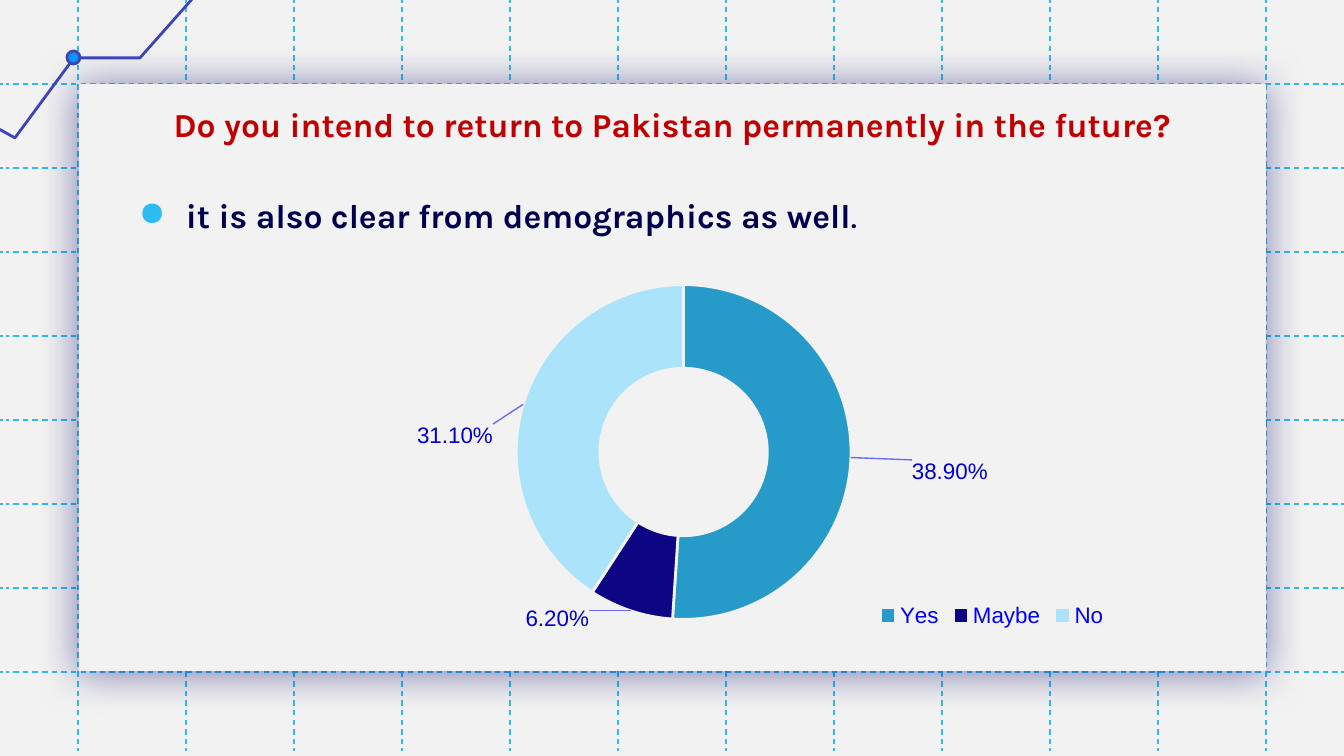
from copy import deepcopy
from lxml.etree import SubElement
from pptx import Presentation
from pptx.chart.data import CategoryChartData
from pptx.dml.color import RGBColor
from pptx.enum.chart import XL_CHART_TYPE, XL_LEGEND_POSITION
from pptx.enum.dml import MSO_LINE
from pptx.enum.shapes import MSO_CONNECTOR, MSO_SHAPE
from pptx.enum.text import MSO_ANCHOR, PP_ALIGN
from pptx.oxml import parse_xml
from pptx.oxml.ns import nsdecls, qn
from pptx.util import Pt

PX = 914400 / 134.4
PAPER = RGBColor(0xF2, 0xF2, 0xF2)
SKY = RGBColor(0x2E, 0xBB, 0xF2)
INDIGO = RGBColor(0x3D, 0x44, 0xBA)
AZURE = RGBColor(0x05, 0x97, 0xF2)
RED = RGBColor(0xC0, 0x00, 0x00)
NAVY = RGBColor(0x00, 0x00, 0x4F)
INK = RGBColor(0x00, 0x00, 0x6A)
LABEL = RGBColor(0x00, 0x00, 0xCF)
LEADER = RGBColor(0x6A, 0x6A, 0xFF)
LEGEND = RGBColor(0x00, 0x00, 0xF7)
TEAL = RGBColor(0x26, 0x9B, 0xC9)
VIOLET = RGBColor(0x0E, 0x05, 0x85)
PALE = RGBColor(0xAB, 0xE4, 0xFA)


def px(*nums):
    return [round(n * PX) for n in nums]


def layout(x, y, size=None, inner=False):
    """Manual chart layout; without a size, x and y are offsets."""
    parts = [("layoutTarget", "inner")] if inner else []
    if size:
        parts += [("xMode", "edge"), ("yMode", "edge")]
    parts += [("x", x), ("y", y)]
    if size:
        parts += [("w", size[0]), ("h", size[1])]
    body = "".join(f'<c:{tag} val="{val}"/>' for tag, val in parts)
    return parse_xml(f'<c:layout {nsdecls("c")}><c:manualLayout>{body}'
                     '</c:manualLayout></c:layout>')


deck = Presentation()
deck.slide_width, deck.slide_height = px(1344, 756)
slide = deck.slides.add_slide(deck.slide_layouts[6])
slide.background.fill.solid()
slide.background.fill.fore_color.rgb = PAPER
shapes = slide.shapes

# Dashed grid: long rules with short end strokes
grid = [(x, top, x, end) for x in range(78, 1344, 108)
        for top, end in [(0, 3), (7, 751)]]
grid += [(right, y, left, y) for y in range(84, 756, 84)
         for right, left in [(1344, 1341), (1338, 6), (3, 0)]]
for ends in grid:
    rule = shapes.add_connector(MSO_CONNECTOR.STRAIGHT, *px(*ends))
    rule.line.color.rgb = SKY
    rule.line.width = Pt(0.75)
    rule.line.dash_style = MSO_LINE.DASH
    SubElement(rule._element.spPr, qn("a:effectLst"))

# Panel with soft shadow
panel = shapes.add_shape(MSO_SHAPE.RECTANGLE, *px(79, 84, 1187, 587))
panel.fill.solid()
panel.fill.fore_color.rgb = PAPER
panel.line.fill.background()
panel.shadow.inherit = False
panel._element.spPr.find(qn("a:effectLst")).append(parse_xml(
    f'<a:outerShdw {nsdecls("a")} blurRad="{Pt(22.5)}" dist="{Pt(1.5)}" '
    'dir="5400000" algn="bl" rotWithShape="0"><a:srgbClr val="00006A">'
    '<a:alpha val="49000"/></a:srgbClr></a:outerShdw>'))

# Zigzag line and its dot
zigzag = [(-192, 159), (-118, 161), (-73, 89), (15, 138), (74, 58),
          (140, 58), (218, -30), (317, -7), (368, -62)]
pen = shapes.build_freeform(*zigzag[0], scale=PX)
pen.add_line_segments(zigzag[1:], close=False)
trend = pen.convert_to_shape()
trend.fill.background()
dot = shapes.add_shape(MSO_SHAPE.OVAL, *px(67, 51, 13, 13))
dot.fill.solid()
dot.fill.fore_color.rgb = AZURE
for shape in (trend, dot):
    shape.shadow.inherit = False
    shape.line.color.rgb = INDIGO
    shape.line.width = Pt(1.5)

# Title and bullet
texts = [
    ((106, 91, 1133, 98), RED, PP_ALIGN.CENTER,
     [("Do you intend to return to Pakistan permanently in the future?", 18)]),
    ((106, 176, 1133, 86), NAVY, PP_ALIGN.LEFT,
     [("it is also clear from demographics as well", 18), (".", 14)]),
]
for place, color, align, runs in texts:
    frame = shapes.add_textbox(*px(*place)).text_frame
    frame.word_wrap = True
    frame.vertical_anchor = MSO_ANCHOR.TOP
    frame.margin_left = frame.margin_right = px(13)[0]
    frame.margin_top = frame.margin_bottom = px(13)[0]
    para = frame.paragraphs[0]
    para.alignment = align
    if align == PP_ALIGN.LEFT:
        para.line_spacing = 1.15
        props = para._p.get_or_add_pPr()
        props.set("marL", str(px(67)[0]))
        props.set("indent", str(px(-47)[0]))
        tint = SubElement(props, qn("a:buClr"))
        SubElement(tint, qn("a:srgbClr")).set("val", str(SKY))
        SubElement(props, qn("a:buSzPts")).set("val", "1400")
        SubElement(props, qn("a:buChar")).set("char", "●")
    para.font.name = "Karla"
    para.font.bold = True
    para.font.color.rgb = color
    for words, size in runs:
        run = para.add_run()
        run.text = words
        run.font.size = Pt(size)

# Doughnut chart
data = CategoryChartData(number_format="0.00%")
data.categories = ["Yes", "Maybe", "No"]
data.add_series("Series 1", [0.389, 0.062, 0.311])
chart = shapes.add_chart(XL_CHART_TYPE.DOUGHNUT,
                         *px(126, 261, 1083, 394), data).chart
chart.has_title = False
chart.font.name = "Arial"
chart.font.size = Pt(10)
chart.font.color.rgb = INK
plot = chart.plots[0]
plot.vary_by_categories = True
area = chart._chartSpace.chart.plotArea
for old in area.findall(qn("c:layout")):
    area.remove(old)
area.insert(0, layout(0.34, 0.06, (0.35, 0.85), inner=True))

# Slices and their labels
series = plot.series[0]
labels = series.data_labels
labels.show_value = True
labels.number_format = "0.00%"
labels.number_format_is_linked = False
format_tag = labels._element.find(qn("c:numFmt"))
slices = [(TEAL, 0.13, 0.04), (VIOLET, -0.08, 0.12), (PALE, -0.1, 0.05)]
fonts = [labels.font]
for i, (color, dx, dy) in enumerate(slices):
    point = series.points[i]
    point.format.fill.solid()
    point.format.fill.fore_color.rgb = color
    point.format.line.color.rgb = PAPER
    point.format.line.width = Pt(1.5)
    fonts.append(point.data_label.font)
    tag = labels._element.findall(qn("c:dLbl"))[i]
    tag.insert(1, layout(dx, dy))
    tag.insert(2, deepcopy(format_tag))
for font in fonts:
    font.name = "Arial"
    font.size = Pt(12)
    font.color.rgb = LABEL

# Leader lines
labels._element.append(parse_xml(
    f'<c:leaderLines {nsdecls("c", "a")}><c:spPr><a:ln w="{Pt(0.75)}">'
    f'<a:solidFill><a:srgbClr val="{LEADER}"/></a:solidFill></a:ln>'
    '</c:spPr></c:leaderLines>'))

# Legend
chart.has_legend = True
legend = chart.legend
legend.position = XL_LEGEND_POSITION.BOTTOM
legend.include_in_layout = False
legend.font.name = "Arial"
legend.font.size = Pt(12)
legend.font.color.rgb = LEGEND
for old in legend._element.findall(qn("c:layout")):
    legend._element.remove(old)
legend._element.find(qn("c:legendPos")).addnext(
    layout(0.69, 0.86, (0.22, 0.08)))

deck.save("out.pptx")
